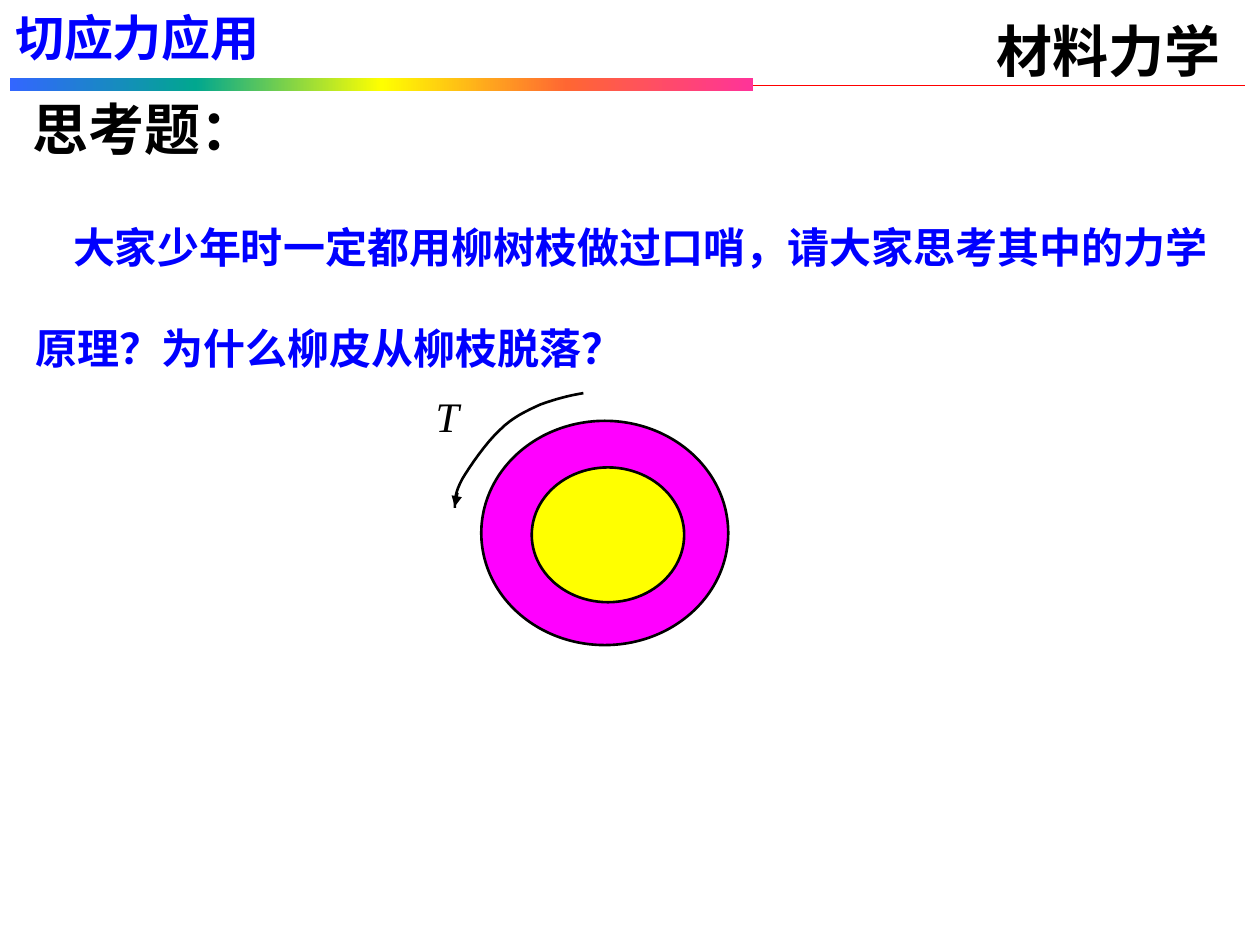
from lxml.etree import SubElement
from pptx import Presentation
from pptx.dml.color import RGBColor
from pptx.enum.shapes import MSO_CONNECTOR, MSO_SHAPE
from pptx.enum.text import MSO_ANCHOR, PP_ALIGN
from pptx.oxml.ns import qn
from pptx.util import Inches, Pt

CJK, LATIN = "Noto Sans CJK SC", "Times New Roman"
BLACK, BLUE, RED, WHITE = "000000", "0000FF", "FF0000", "FFFFFF"

# text, (left, top, width, height), size, colour, (side, top inset), line spacing, first-line indent
TEXTS = [
    ("材料力学", (7.81, 0.08, 2.11, 0.52), 32, BLACK, (0.1, 0.05), 1, 0),
    ("思考题：", (0.16, 0.7, 2.03, 0.64), 32, BLACK, (0.1, 0.05), 1, 0),
    ("大家少年时一定都用柳树枝做过口哨，请大家思考其中的力学原理？为什么柳皮从柳枝脱落？",
     (0.16, 1.3, 9.84, 1.73), 24, BLUE, (0.12, 0.06), 2, 0.3),
    ("切应力应用", (0, 0, 6.25, 0.59), 28, BLUE, (0.12, 0.06), 1, 0),
]
RAINBOW = ["3366FF", "01A78F", "FFFF00", "FF6633", "FF3399"]
BARK_AND_WOOD = [((3.82, 3.34, 1.96, 1.78), "FF00FF"), ((4.22, 3.71, 1.21, 1.07), "FFFF00")]
TORQUE_START = (4.63, 3.12)
TORQUE_CURVES = [
    ((4.51, 3.14), (4.4, 3.17), (4.29, 3.21)),
    ((4.18, 3.26), (4.07, 3.31), (3.97, 3.41)),
    ((3.86, 3.51), (3.73, 3.7), (3.67, 3.8)),
    ((3.61, 3.91), (3.61, 3.97), (3.61, 4.03)),
]
CURVE_STEPS = 8


def color(value):
    return RGBColor.from_string(value)


def set_line(shape, value, width=1.5):
    shape.line.color.rgb = color(value)
    shape.line.width = Pt(width)


def add_preset(kind, box, fill, outline=None):
    shape = slide.shapes.add_shape(kind, *map(Inches, box))
    shape.shadow.inherit = False
    shape.fill.solid()
    shape.fill.fore_color.rgb = color(fill)
    if outline:
        set_line(shape, outline)
    else:
        shape.line.fill.background()
    return shape


def add_line(start, end, value, width):
    line = slide.shapes.add_connector(MSO_CONNECTOR.STRAIGHT, *map(Inches, start + end))
    set_line(line, value, width)
    SubElement(line._element.spPr, qn("a:effectLst"))
    return line


def add_text(text, box, size, value, insets, spacing, indent):
    frame = slide.shapes.add_textbox(*map(Inches, box)).text_frame
    frame.word_wrap = True
    frame.margin_left = frame.margin_right = Inches(insets[0])
    frame.margin_top = frame.margin_bottom = Inches(insets[1])
    paragraph = frame.paragraphs[0]
    paragraph.text = text
    paragraph.line_spacing = spacing
    if indent:
        paragraph._p.get_or_add_pPr().set("indent", str(Inches(indent)))
    font = paragraph.runs[0].font
    font.name, font.size, font.bold = CJK, Pt(size), True
    font.color.rgb = color(value)
    SubElement(font._element, qn("a:ea"), typeface=CJK)


def bezier(p0, p1, p2, p3, t):
    return tuple((1 - t) ** 3 * a + 3 * (1 - t) ** 2 * t * b + 3 * (1 - t) * t ** 2 * c + t ** 3 * d
                 for a, b, c, d in zip(p0, p1, p2, p3))


def add_torque_arc():
    points, start = [TORQUE_START], TORQUE_START
    for curve in TORQUE_CURVES:
        points += [bezier(start, *curve, step / CURVE_STEPS) for step in range(1, CURVE_STEPS + 1)]
        start = curve[-1]
    # Freeform points are rounded to whole units, so they are given in EMU.
    points = [tuple(map(Inches, point)) for point in points]
    builder = slide.shapes.build_freeform(*points[0])
    builder.add_line_segments(points[1:], close=False)
    arc = builder.convert_to_shape()
    arc.shadow.inherit = False
    arc.fill.background()
    set_line(arc, BLACK)


prs = Presentation()
prs.slide_width, prs.slide_height = Inches(10), Inches(7.5)
slide = prs.slides.add_slide(prs.slide_layouts[6])

add_line((5.94, 0.68), (9.88, 0.68), RED, 0.75)
bar = add_preset(MSO_SHAPE.RECTANGLE, (0.08, 0.62, 5.9, 0.1), RAINBOW[0])
bar.fill.gradient()
bar.fill.gradient_angle = 0
stops = bar._element.spPr.find(qn("a:gradFill")).find(qn("a:gsLst"))
for stop in list(stops):
    stops.remove(stop)
for i, value in enumerate(RAINBOW):
    stop = SubElement(stops, qn("a:gs"), pos=str(i * 100000 // (len(RAINBOW) - 1)))
    SubElement(stop, qn("a:srgbClr"), val=value)

torque = add_preset(MSO_SHAPE.RECTANGLE, (3.36, 3.05, 0.64, 0.89), WHITE, WHITE)
torque.text_frame.vertical_anchor = MSO_ANCHOR.TOP
label = torque.text_frame.paragraphs[0]
label.text = "T"
label.alignment = PP_ALIGN.JUSTIFY
label.font.name, label.font.size, label.font.italic = LATIN, Pt(24), True
label.font.color.rgb = color(BLACK)

for box, fill in BARK_AND_WOOD:
    add_preset(MSO_SHAPE.OVAL, box, fill, BLACK)
add_torque_arc()
arrow = add_line((3.63, 3.91), (3.61, 4.02), BLACK, 1.5)
SubElement(arrow.line._get_or_add_ln(), qn("a:tailEnd"), type="triangle")

for item in TEXTS:
    add_text(*item)

prs.save("out.pptx")
